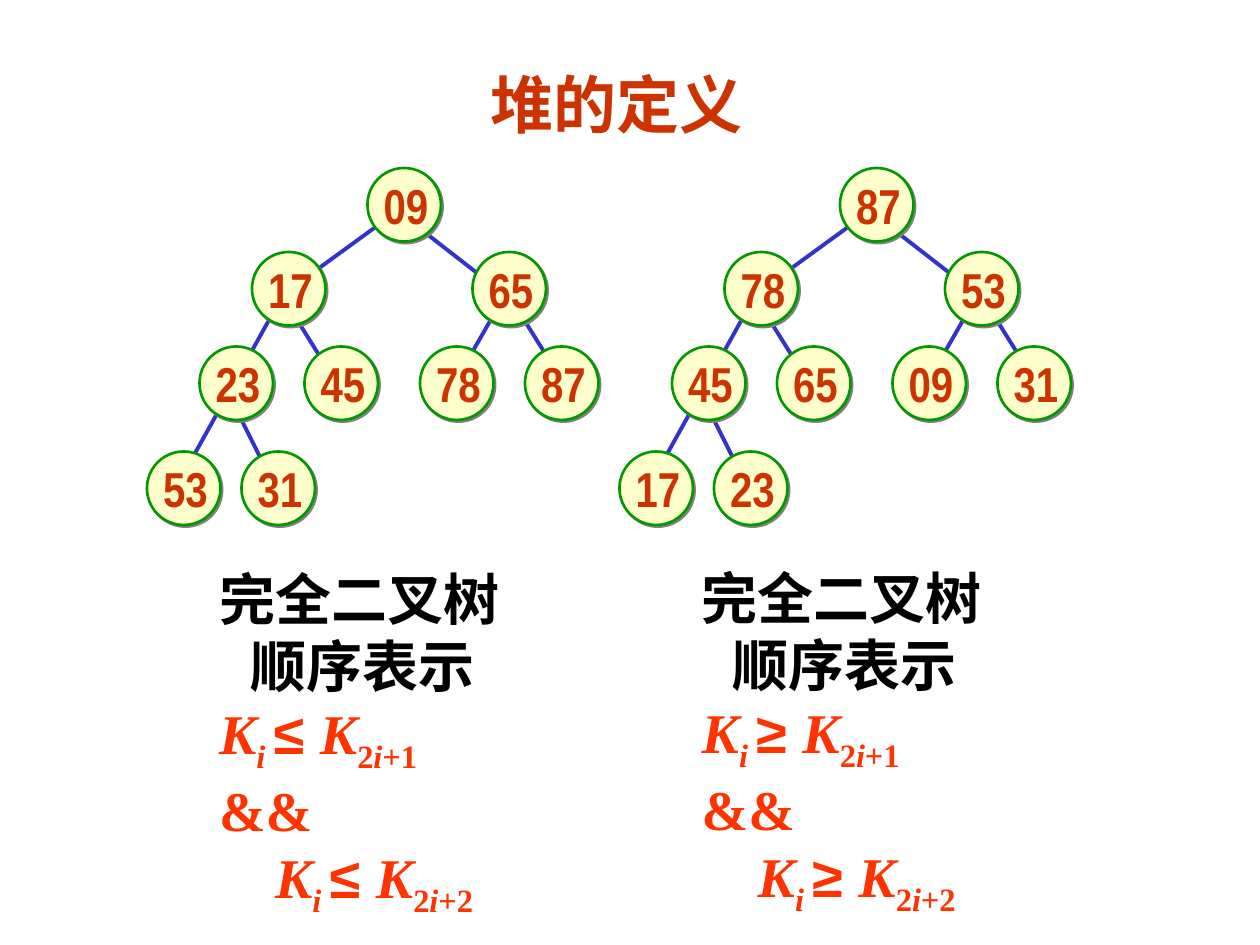
"""Build a slide defining min-heaps and max-heaps as binary trees."""
from dataclasses import dataclass
from typing import Any

from lxml import etree
from pptx import Presentation
from pptx import util as u
from pptx.dml import color
from pptx.enum import shapes, text
from pptx.oxml import ns

DIAMETER = 42
NODE_POSITIONS = [(210, 96), (144, 144), (270, 144), (114, 198), (174, 198),
                  (240, 198), (300, 198), (84, 258), (138, 258)]
EDGES = [(228, 120, 162, 168), (234, 126, 288, 168), (162, 168, 102, 276),
         (168, 180, 198, 228), (282, 180, 258, 222), (294, 174, 324, 222),
         (138, 240, 162, 288)]


@dataclass
class Heap:
    """One heap with its drawing offset, keys and defining relation."""
    offset: float
    keys: list[str]
    relation: str
    caption_left: float
    caption_top: float


@dataclass
class Piece:
    """A stretch of text with its own format."""
    wording: str
    font: str = "Times New Roman"
    color: str = "FF3300"
    italic: bool = False
    subscript: bool = False


HEAPS = [
    Heap(0, ["09", "17", "65", "23", "45", "78", "87", "53", "31"], "≤", 118.08, 318.96),
    Heap(270, ["87", "78", "53", "45", "65", "09", "31", "17", "23"], "≥", 393.84, 318.24),
]


def rgb(value: str) -> color.RGBColor:
    """Turn a hex string into a colour."""
    return color.RGBColor.from_string(value)


def assign(target: Any, values: dict[str, Any]) -> None:
    """Set each named attribute of the target."""
    for name, value in values.items():
        setattr(target, name, value)


def format_font(font: Any, name: str, size: float, hex_color: str, italic: bool = False) -> None:
    """Apply a bold font of the given size and colour."""
    assign(font, {"name": name, "size": u.Pt(size), "bold": True, "italic": italic})
    font.color.rgb = rgb(hex_color)


def add_edge(slide: Any, edge: tuple, offset: float) -> None:
    """Draw one tree edge."""
    x1, y1, x2, y2 = edge
    connector = slide.shapes.add_connector(
        shapes.MSO_CONNECTOR.STRAIGHT,
        u.Pt(x1 + offset), u.Pt(y1), u.Pt(x2 + offset), u.Pt(y2))
    connector.line.width = u.Pt(2.25)
    connector.line.color.rgb = rgb("3333CC")
    etree.SubElement(connector._element.spPr, ns.qn("a:effectLst"))


def add_node(slide: Any, key: str, left: float, top: float) -> None:
    """Draw one shadowed tree node holding its key."""
    shape = slide.shapes.add_shape(
        shapes.MSO_SHAPE.OVAL, u.Pt(left), u.Pt(top), u.Pt(DIAMETER), u.Pt(DIAMETER))
    shape.fill.solid()
    shape.fill.fore_color.rgb = rgb("FFFFCC")
    shape.line.color.rgb = rgb("009900")
    shape.line.width = u.Pt(1.5)
    shape.shadow.inherit = False
    effects = shape._element.spPr.find(ns.qn("a:effectLst"))
    shadow = etree.SubElement(effects, ns.qn("a:outerShdw"), dist=str(u.Pt(1.4)),
                              dir="2700000", algn="ctr", rotWithShape="0")
    etree.SubElement(shadow, ns.qn("a:srgbClr"), val="808080")
    assign(shape.text_frame, {
        "word_wrap": False, "vertical_anchor": text.MSO_ANCHOR.MIDDLE,
        "margin_left": u.Pt(2), "margin_right": 0, "margin_top": 0, "margin_bottom": 0})
    paragraph = shape.text_frame.paragraphs[0]
    paragraph.text = key
    paragraph.alignment = text.PP_ALIGN.CENTER
    format_font(paragraph.runs[0].font, "Arial Narrow", 28, "CC3300")


def formula(relation: str, constant: str) -> list[Piece]:
    """Give the pieces of one heap inequality."""
    return [Piece("K", italic=True), Piece("i ", italic=True, subscript=True),
            Piece(f"{relation} ", font="Arial"), Piece("K", italic=True),
            Piece("2", subscript=True), Piece("i", italic=True, subscript=True),
            Piece(f"+{constant}", subscript=True)]


def fill_line(paragraph: Any, pieces: list[Piece], indent: float, tab: float) -> None:
    """Write the pieces into a paragraph with an indent and an optional tab stop."""
    properties = paragraph._p.get_or_add_pPr()
    properties.set("marL", str(u.Pt(indent)))
    properties.set("indent", "0")
    if tab:
        stops = etree.SubElement(properties, ns.qn("a:tabLst"))
        etree.SubElement(stops, ns.qn("a:tab"), pos=str(u.Pt(tab)), algn="l")
    for piece in pieces:
        run = paragraph.add_run()
        run.text = piece.wording
        format_font(run.font, piece.font, 32, piece.color, piece.italic)
        if piece.subscript:
            run._r.get_or_add_rPr().set("baseline", "-25000")


def add_caption(slide: Any, heap: Heap) -> None:
    """Write the description and inequalities below a heap."""
    frame = slide.shapes.add_textbox(u.Pt(heap.caption_left), u.Pt(heap.caption_top),
                                     u.Pt(207.36), u.Pt(171.36)).text_frame
    frame.word_wrap = True
    lines = [
        ([Piece("完全二叉树", "Arial", "000000")], 0, 0),
        ([Piece("顺序表示", "Arial", "000000")], 17.8, 0),
        (formula(heap.relation, "1") + [Piece("\t&&")], 0, 130.7),
        (formula(heap.relation, "2"), 32, 0),
    ]
    for index, line in enumerate(lines):
        paragraph = frame.add_paragraph() if index else frame.paragraphs[0]
        fill_line(paragraph, *line)


def add_title(slide: Any) -> None:
    """Place and format the slide title."""
    title = slide.shapes.title
    assign(title, {"left": u.Pt(272.88), "top": u.Pt(33.84),
                   "width": u.Pt(213.12), "height": u.Pt(50.4)})
    title.text_frame.text = "堆的定义"
    assign(title.text_frame, {"vertical_anchor": text.MSO_ANCHOR.TOP,
                              "auto_size": text.MSO_AUTO_SIZE.NONE, "word_wrap": True})
    paragraph = title.text_frame.paragraphs[0]
    paragraph.alignment = text.PP_ALIGN.LEFT
    format_font(paragraph.runs[0].font, "Arial", 36, "CC3300")


def main() -> None:
    """Build and save the presentation."""
    presentation = Presentation()
    assign(presentation, {"slide_width": u.Pt(720), "slide_height": u.Pt(540)})
    slide = presentation.slides.add_slide(presentation.slide_layouts[5])
    add_title(slide)
    for heap in HEAPS:
        for edge in EDGES:
            add_edge(slide, edge, heap.offset)
    for heap in HEAPS:
        for key, (left, top) in zip(heap.keys, NODE_POSITIONS):
            add_node(slide, key, left + heap.offset, top)
        add_caption(slide, heap)
    presentation.save("out.pptx")


if __name__ == "__main__":
    main()
